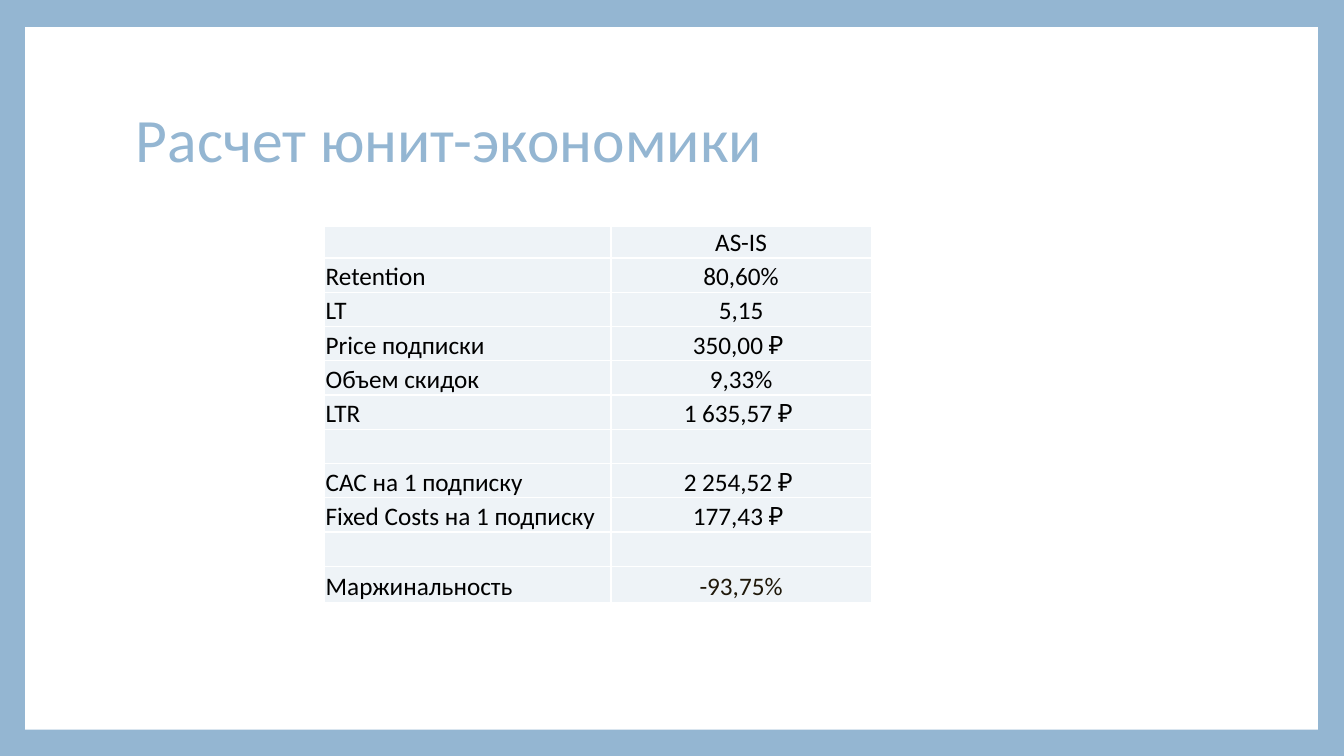
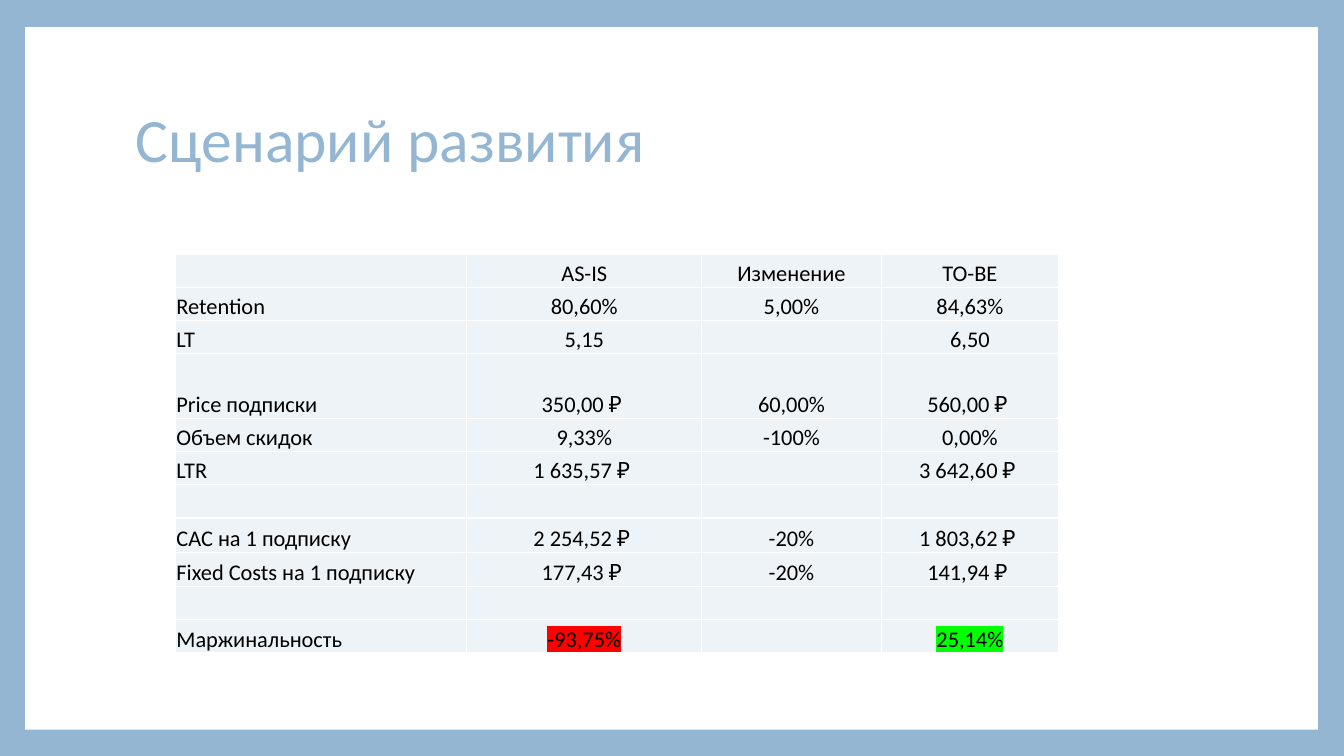
import pptx
import pptx.dml.color
import pptx.enum.shapes
import pptx.enum.text
import pptx.oxml
import pptx.oxml.ns
import pptx.util

Inches = pptx.util.Inches
Pt = pptx.util.Pt
ALIGN = pptx.enum.text.PP_ALIGN
ANCHOR = pptx.enum.text.MSO_ANCHOR

# Shared look
COLORS = {
    "accent": "94B6D2",
    "panel": "FFFFFF",
    "cell": "EEF3F7",
    "border": "FFFFFF",
    "text": "000000",
    "margin": "20190B",
    "loss": "FF0000",
    "profit": "00FF00",
}
FONT = "Calibri"
BORDER_PT = 1
CELL_FORMAT = {
    "margin_left": Inches(0.01),
    "margin_right": Inches(0.01),
    "margin_top": Inches(0.01),
    "margin_bottom": 0,
    "vertical_anchor": ANCHOR.BOTTOM,
}
TABLE_FORMAT = {"first_row": False, "horz_banding": False}

# Table content; an empty tuple is a spacer row
UNIT_ECONOMICS = [
    ("", "AS-IS"),
    ("Retention", "80,60%"),
    ("LT", "5,15"),
    ("Price подписки", "350,00 ₽ "),
    ("Объем скидок", "9,33%"),
    ("LTR", "1 635,57 ₽ "),
    (),
    ("CAC на 1 подписку", "2 254,52 ₽ "),
    ("Fixed Costs на 1 подписку", "177,43 ₽ "),
    (),
    ("Маржинальность", "-93,75%"),
]
# Change and target values that extend each row above
SCENARIO = [
    ("Изменение", "TO-BE"),
    ("5,00%", "84,63%"),
    ("", "6,50"),
    ("60,00%", "560,00 ₽ "),
    ("-100%", "0,00%"),
    ("", "3 642,60 ₽ "),
    (),
    ("-20%", "1 803,62 ₽ "),
    ("-20%", "141,94 ₽ "),
    (),
    ("", "25,14%"),
]


def rgb(name):
    return pptx.dml.color.RGBColor.from_string(COLORS[name])


def apply_format(target, values):
    for attribute, value in values.items():
        setattr(target, attribute, value)


def paint(fill, color):
    fill.solid()
    fill.fore_color.rgb = rgb(color)


def add_text(paragraph, text, size, color):
    run = paragraph.add_run()
    run.text = text
    apply_format(run.font, {"name": FONT, "size": Pt(size)})
    run.font.color.rgb = rgb(color)
    return run


def highlight(run, color):
    # The highlight must directly follow the text fill
    text_fill = run.font.fill._xPr.find(pptx.oxml.ns.qn("a:solidFill"))
    text_fill.addnext(pptx.oxml.parse_xml(
        f'<a:highlight {pptx.oxml.ns.nsdecls("a")}>'
        f'<a:srgbClr val="{COLORS[color]}"/></a:highlight>'))


def add_borders(cell):
    properties = cell._tc.get_or_add_tcPr()
    for position, side in enumerate("LRTB"):
        properties.insert(position, pptx.oxml.parse_xml(
            f'<a:ln{side} {pptx.oxml.ns.nsdecls("a")} w="{Pt(BORDER_PT)}">'
            f'<a:solidFill><a:srgbClr val="{COLORS["border"]}"/></a:solidFill>'
            f'</a:ln{side}>'))


def add_titled_slide(prs, title):
    slide = prs.slides.add_slide(prs.slide_layouts[6])

    # White panel inside the coloured frame
    panel = slide.shapes.add_shape(
        pptx.enum.shapes.MSO_SHAPE.RECTANGLE,
        Inches(0.25), Inches(0.27), Inches(12.82), Inches(6.97))
    panel.shadow.inherit = False
    paint(panel.fill, "panel")
    panel.line.fill.background()

    # Title
    heading = slide.shapes.add_textbox(
        Inches(1.25), Inches(0.67), Inches(10.8), Inches(1.48)).text_frame
    apply_format(heading, {"word_wrap": True, "vertical_anchor": ANCHOR.MIDDLE})
    heading.paragraphs[0].line_spacing = 0.9
    add_text(heading.paragraphs[0], title, 44, "accent")
    return slide


def add_metrics_table(slide, rows, left, top, widths, heights, size,
                      text_colors=None, highlights=None):
    """Colours and highlights are keyed by (row, column)."""
    text_colors, highlights = text_colors or {}, highlights or {}
    table = slide.shapes.add_table(
        len(rows), len(widths), Inches(left), Inches(top),
        Inches(sum(widths)), Inches(sum(heights))).table
    apply_format(table, TABLE_FORMAT)
    for column, width in zip(table.columns, widths):
        column.width = Inches(width)
    for row, height in zip(table.rows, heights):
        row.height = Inches(height)

    for r, values in enumerate(rows):
        for c in range(len(widths)):
            cell = table.cell(r, c)
            apply_format(cell, CELL_FORMAT)
            paint(cell.fill, "cell")
            add_borders(cell)
            if not values or not values[c]:
                continue
            paragraph = cell.text_frame.paragraphs[0]
            paragraph.alignment = ALIGN.CENTER if c else ALIGN.LEFT
            run = add_text(paragraph, values[c], size,
                           text_colors.get((r, c), "text"))
            if (r, c) in highlights:
                highlight(run, highlights[r, c])


def main():
    prs = pptx.Presentation()
    apply_format(prs, {"slide_width": Inches(13.33), "slide_height": Inches(7.5)})
    paint(prs.slide_master.background.fill, "accent")
    margin_row = len(UNIT_ECONOMICS) - 1

    # Current unit economics
    economics = add_titled_slide(prs, "Расчет юнит-экономики")
    add_metrics_table(
        economics, UNIT_ECONOMICS, 3.22, 2.25, [2.84, 2.58],
        [0.3] + [0.34] * 9 + [0.36], 18,
        text_colors={(margin_row, 1): "margin"})

    # Current values against the target scenario
    scenario = add_titled_slide(prs, "Сценарий развития")
    comparison = [now + later for now, later in zip(UNIT_ECONOMICS, SCENARIO)]
    add_metrics_table(
        scenario, comparison, 1.74, 2.52, [2.89, 2.33, 1.78, 1.76],
        [0.33] * 3 + [0.64] + [0.33] * 3 + [0.34] * 2 + [0.33] * 2, 16,
        highlights={(margin_row, 1): "loss", (margin_row, 3): "profit"})

    prs.save("out.pptx")


if __name__ == "__main__":
    main()
